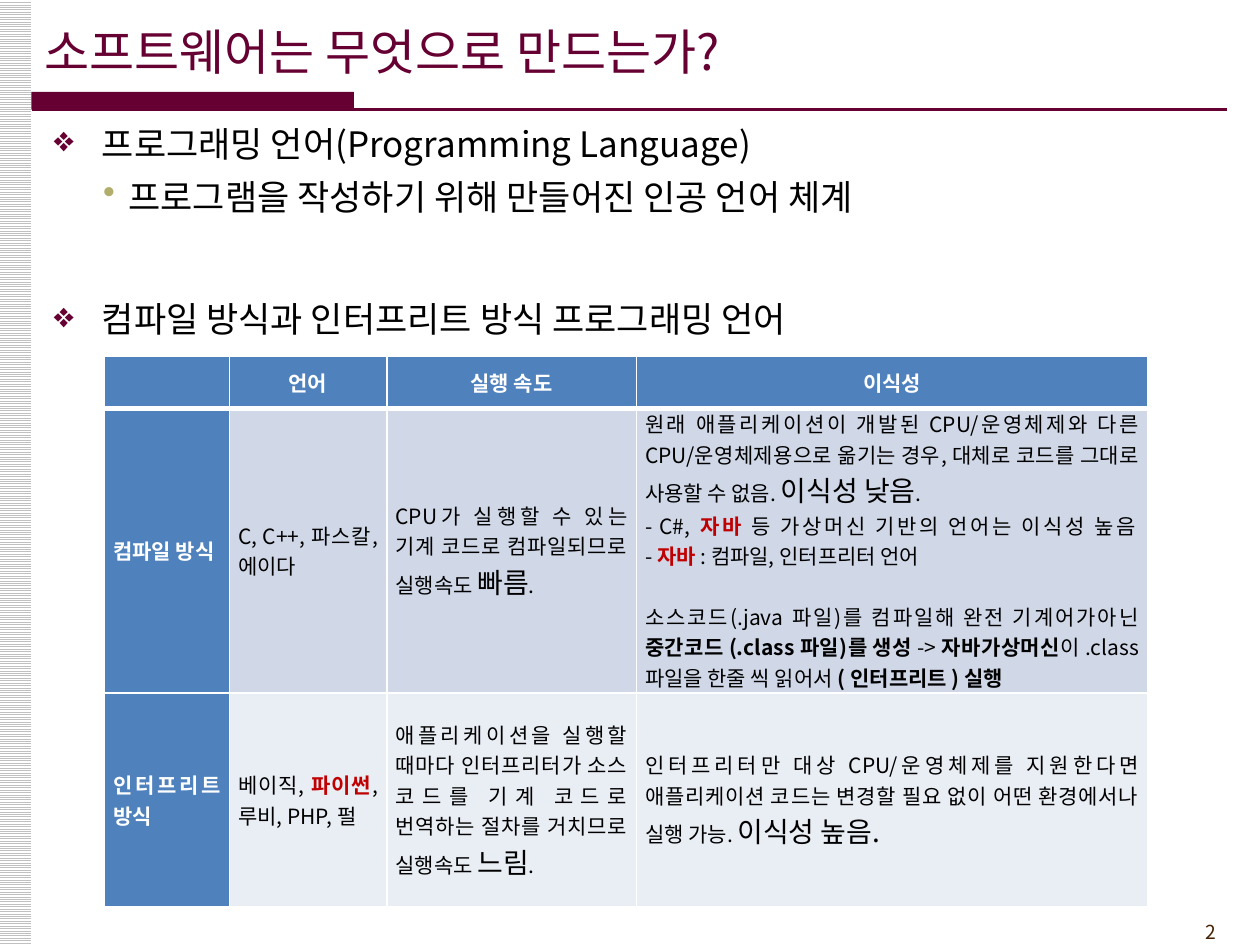
from lxml.etree import SubElement
from pptx import Presentation
from pptx.dml.color import RGBColor
from pptx.enum.dml import MSO_PATTERN
from pptx.enum.shapes import MSO_CONNECTOR, MSO_SHAPE
from pptx.enum.text import MSO_ANCHOR, PP_ALIGN
from pptx.oxml import parse_xml
from pptx.oxml.ns import nsdecls, qn
from pptx.util import Inches, Pt

FONT = "Noto Sans CJK KR"
COLORS = {
    "wine": "660033", "olive": "B1AE6B", "brown": "452103", "gray": "C0C0C0",
    "blue": "4F81BD", "pale": "D0D8E8", "light": "E9EDF4",
    "red": "C00000", "black": "000000", "white": "FFFFFF",
}
COLS = [0.99, 1.25, 1.98, 4.06]
ROWS = [0.41, 2.26, 1.7]
HEADS = ["", "언어", "실행 속도", "이식성"]
KINDS = ["컴파일 방식", "인터프리트 방식"]
STYLES = {
    "plain": (12, "black", False), "bold": (12, "black", True),
    "red": (12, "red", True), "big": (16, "black", False),
    "head": (12, "white", True),
}
CELLS = [
    [
        [[("C, C++, 파스칼, 에이다", "plain")]],
        [[("CPU가 실행할 수 있는 기계 코드로 컴파일되므로 실행속도 ", "plain"),
          ("빠름", "big"), (".", "plain")]],
        [
            [("원래 애플리케이션이 개발된 CPU/운영체제와 다른 CPU/운영체제용으로 "
              "옮기는 경우, 대체로 코드를 그대로 사용할 수 없음. ", "plain"),
             ("이식성 낮음", "big"), (".", "plain")],
            [("- C#, ", "plain"), ("자바", "red"),
             (" 등 가상머신 기반의 언어는 이식성 높음\n- ", "plain"),
             ("자바 ", "red"), (": 컴파일, 인터프리터 언어", "plain")],
            [("소스코드(.java 파일)를 컴파일해 완전 기계어가아닌 ", "plain"),
             ("중간코드 (.class 파일)를 생성 ", "bold"), ("-> ", "plain"),
             ("자바가상머신", "bold"),
             ("이 .class 파일을 한줄 씩 읽어서 ", "plain"),
             ("( 인터프리트 ) 실행 ", "bold")],
        ],
    ],
    [
        [[("베이직, ", "plain"), ("파이썬", "red"), (", 루비, PHP, 펄", "plain")]],
        [[("애플리케이션을 실행할 때마다 인터프리터가 소스 코드를 기계 코드로 "
           "번역하는 절차를 거치므로 실행속도 ", "plain"),
          ("느림", "big"), (".", "plain")]],
        [[("인터프리터만 대상 CPU/운영체제를 지원한다면 애플리케이션 코드는 "
           "변경할 필요 없이 어떤 환경에서나 실행 가능. ", "plain"),
          ("이식성 높음.", "big")]],
    ],
]


def rgb(name):
    """Return the named colour."""
    return RGBColor.from_string(COLORS[name])


def style(run, size, color, bold=False):
    """Format a run for Latin and Korean text."""
    font = run.font
    font.size, font.bold, font.name = Pt(size), bold, FONT
    font.color.rgb = rgb(color)
    SubElement(run._r.get_or_add_rPr(), qn("a:ea")).set("typeface", FONT)


def add_bar(slide, left, top, width, height):
    """Add a rectangle without outline and return it."""
    bar = slide.shapes.add_shape(
        MSO_SHAPE.RECTANGLE, Inches(left), Inches(top), Inches(width), Inches(height))
    bar.shadow.inherit = False
    bar.line.fill.background()
    return bar


def add_frame(slide):
    """Draw the striped edge and the rule under the title."""
    edge = add_bar(slide, -0.01, 0, 0.26, 7.5).fill
    edge.patterned()
    edge.pattern = MSO_PATTERN.LIGHT_HORIZONTAL
    edge.fore_color.rgb, edge.back_color.rgb = rgb("gray"), rgb("white")
    block = add_bar(slide, 0.25, 0.73, 2.56, 0.14).fill
    block.solid()
    block.fore_color.rgb = rgb("wine")
    rule = slide.shapes.add_connector(
        MSO_CONNECTOR.STRAIGHT, Inches(0.25), Inches(0.87), Inches(9.74), Inches(0.87))
    rule.line.color.rgb, rule.line.width = rgb("wine"), Pt(1.5)
    SubElement(rule._element.spPr, qn("a:effectLst"))


def set_title(slide, text):
    """Place and format the title."""
    title = slide.shapes.title
    title.left, title.top = Inches(0.25), Inches(0.09)
    title.width, title.height = Inches(8.27), Inches(0.63)
    frame = title.text_frame
    frame.text, frame.vertical_anchor = text, MSO_ANCHOR.MIDDLE
    para = frame.paragraphs[0]
    para.alignment = PP_ALIGN.LEFT
    style(para.runs[0], 28, "wine")


def add_box(slide, left, top, width, height):
    """Add a wrapping text box and return its frame."""
    box = slide.shapes.add_textbox(
        Inches(left), Inches(top), Inches(width), Inches(height))
    box.text_frame.word_wrap = True
    return box.text_frame


def set_point(para, text, mark, color, left, hang):
    """Write one bulleted line."""
    para.text = text
    props = para._p.get_or_add_pPr()
    props.set("marL", str(Inches(left)))
    props.set("indent", str(-Inches(hang)))
    tint = SubElement(SubElement(props, qn("a:buClr")), qn("a:srgbClr"))
    tint.set("val", COLORS[color])
    SubElement(props, qn("a:buChar")).set("char", mark)
    style(para.runs[0], 20, "black")


def add_points(slide):
    """Add the bulleted list."""
    frame = add_box(slide, 0.33, 0.92, 9.5, 1.8)
    set_point(frame.paragraphs[0], "프로그래밍 언어(Programming Language)",
              "❖", "wine", 0.38, 0.38)
    sub = frame.add_paragraph()
    sub.level, sub.line_spacing = 1, 1.1
    sub.space_before, sub.space_after = Pt(4), Pt(3)
    set_point(sub, "프로그램을 작성하기 위해 만들어진 인공 언어 체계",
              "•", "olive", 0.59, 0.2)
    last = frame.add_paragraph()
    last.space_before = Pt(43)
    set_point(last, "컴파일 방식과 인터프리트 방식 프로그래밍 언어",
              "❖", "wine", 0.38, 0.38)


def add_runs(para, parts):
    """Add styled runs, with a line break at each newline."""
    for text, kind in parts:
        for num, piece in enumerate(text.split("\n")):
            if num:
                para.add_line_break()
            run = para.add_run()
            run.text = piece
            style(run, *STYLES[kind])


def set_edges(cell, top, bottom):
    """Draw white borders, the side ones 1 pt wide."""
    widths = {"lnL": 1, "lnR": 1, "lnT": top, "lnB": bottom}
    for num, (tag, width) in enumerate(widths.items()):
        cell._tc.get_or_add_tcPr().insert(num, parse_xml(
            f'<a:{tag} {nsdecls("a")} w="{Pt(width)}"><a:solidFill>'
            f'<a:srgbClr val="{COLORS["white"]}"/></a:solidFill></a:{tag}>'))


def set_cell(cell, paras, fill, align):
    """Fill a cell with colour and styled paragraphs."""
    cell.fill.solid()
    cell.fill.fore_color.rgb = rgb(fill)
    cell.vertical_anchor = MSO_ANCHOR.MIDDLE
    cell.margin_left = cell.margin_right = Inches(0.07)
    cell.margin_top = cell.margin_bottom = 0
    frame = cell.text_frame
    for num, parts in enumerate(paras):
        para = frame.add_paragraph() if num else frame.paragraphs[0]
        para.alignment = align
        if num == 2:
            para.space_before = Pt(17.4)
        add_runs(para, parts)


def add_grid(slide):
    """Add the comparison table."""
    grid = slide.shapes.add_table(
        len(ROWS), len(COLS), Inches(0.83), Inches(2.83),
        Inches(sum(COLS)), Inches(sum(ROWS))).table
    for col, width in zip(grid.columns, COLS):
        col.width = Inches(width)
    for row, height in zip(grid.rows, ROWS):
        row.height = Inches(height)
    for num, text in enumerate(HEADS):
        parts = [[(text, "head")]] if text else []
        set_cell(grid.cell(0, num), parts, "blue", PP_ALIGN.CENTER)
        set_edges(grid.cell(0, num), 1, 3)
    for num, (kind, cells) in enumerate(zip(KINDS, CELLS), 1):
        fill = "pale" if num == 1 else "light"
        for col, paras in enumerate([[[(kind, "head")]]] + cells):
            cell = grid.cell(num, col)
            set_cell(cell, paras, fill if col else "blue", PP_ALIGN.JUSTIFY)
            set_edges(cell, 3 if num == 1 else 1, 1)


def add_number(slide, text):
    """Add the page number."""
    frame = add_box(slide, 8.92, 7.25, 0.83, 0.29)
    frame.text, frame.vertical_anchor = text, MSO_ANCHOR.MIDDLE
    frame.paragraphs[0].alignment = PP_ALIGN.RIGHT
    style(frame.paragraphs[0].runs[0], 11, "brown")


def main():
    """Build and save the slide."""
    deck = Presentation()
    deck.slide_width, deck.slide_height = Inches(10), Inches(7.5)
    slide = deck.slides.add_slide(deck.slide_layouts[5])
    add_frame(slide)
    set_title(slide, "소프트웨어는 무엇으로 만드는가?")
    add_points(slide)
    add_grid(slide)
    add_number(slide, "2")
    deck.save("out.pptx")


if __name__ == "__main__":
    main()
